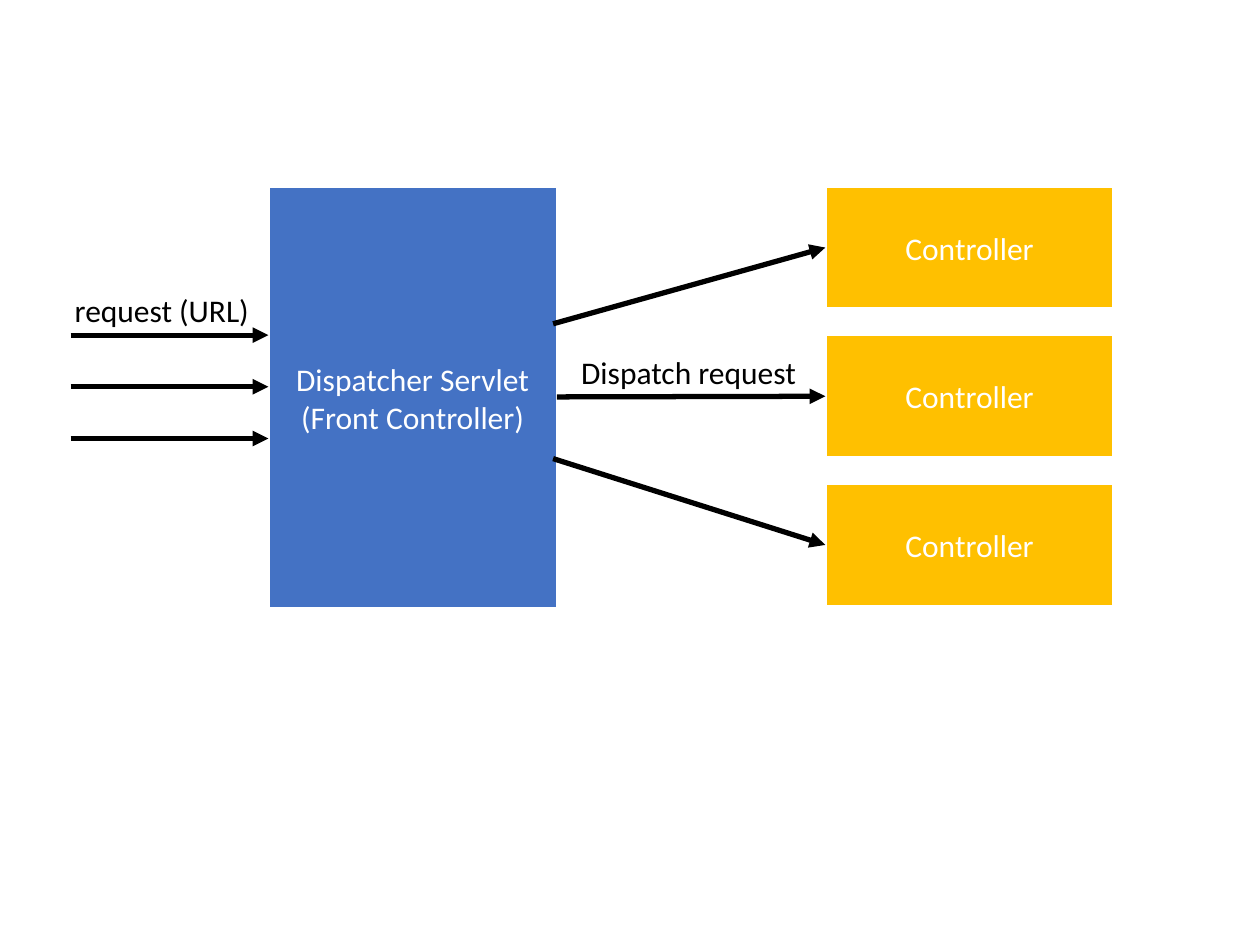
from lxml import etree
from pptx import Presentation
from pptx.dml.color import RGBColor
from pptx.enum.shapes import MSO_CONNECTOR, MSO_SHAPE
from pptx.enum.text import MSO_ANCHOR, MSO_AUTO_SIZE, PP_ALIGN
from pptx.oxml.ns import qn
from pptx.util import Inches, Pt

BLUE = RGBColor(0x44, 0x72, 0xC4)
AMBER = RGBColor(0xFF, 0xC0, 0x00)
WHITE = RGBColor(0xFF, 0xFF, 0xFF)
BLACK = RGBColor(0x00, 0x00, 0x00)
RECTANGLE = MSO_SHAPE.RECTANGLE
STRAIGHT = MSO_CONNECTOR.STRAIGHT
CENTER = PP_ALIGN.CENTER
MIDDLE = MSO_ANCHOR.MIDDLE
GROW = MSO_AUTO_SIZE.SHAPE_TO_FIT_TEXT
FONT = {"name": "Calibri", "size": Pt(18)}

BLANK_LAYOUT = 6
REQUEST_LEFT = 0.56
SERVLET_LEFT, CONTROLLER_LEFT = 2.13, 6.55
TOP = 1.48
BOX_WIDTH = 2.29
SERVLET_HEIGHT, CONTROLLER_HEIGHT = 3.35, 0.97
CONTROLLER_STEP = 1.18
REQUEST_TOP, REQUEST_STEP = 2.66, 0.41
LABEL_HEIGHT = 0.4
DISPATCH_STARTS = [(4.39, 2.57), (4.42, 3.15), (4.39, 3.64)]


def write_lines(frame, lines, color):
    """Fill a text frame with centred paragraphs."""
    frame.word_wrap = True
    for index, line in enumerate(lines):
        para = frame.paragraphs[0] if index == 0 else frame.add_paragraph()
        para.alignment = CENTER
        span = para.add_run()
        span.text = line
        for name, value in FONT.items():
            setattr(span.font, name, value)
        span.font.color.rgb = color


def add_box(page, left, top, height, fill, lines):
    """Add a filled box with a white outline and white text."""
    area = map(Inches, (left, top, BOX_WIDTH, height))
    box = page.shapes.add_shape(RECTANGLE, *area)
    box.shadow.inherit = False
    box.fill.solid()
    box.fill.fore_color.rgb = fill
    box.line.color.rgb = WHITE
    box.line.width = Pt(1.5)
    box.text_frame.vertical_anchor = MIDDLE
    write_lines(box.text_frame, lines, WHITE)


def add_label(page, left, bottom, width, text):
    """Add a black label that rests on the given height."""
    area = map(Inches, (left, bottom - LABEL_HEIGHT, width, LABEL_HEIGHT))
    label = page.shapes.add_textbox(*area)
    write_lines(label.text_frame, [text], BLACK)
    label.text_frame.auto_size = GROW


def add_arrow(page, start, end):
    """Add a straight black arrow."""
    arrow = page.shapes.add_connector(STRAIGHT, *map(Inches, (*start, *end)))
    arrow.line.color.rgb = BLACK
    arrow.line.width = Pt(3)
    outline = arrow.line._get_or_add_ln()
    etree.SubElement(outline, qn("a:tailEnd"), type="triangle")
    etree.SubElement(arrow._element.spPr, qn("a:effectLst"))


def main():
    """Build the request dispatch diagram."""
    deck = Presentation()
    deck.slide_width, deck.slide_height = Inches(10), Inches(7.5)
    page = deck.slides.add_slide(deck.slide_layouts[BLANK_LAYOUT])

    add_box(page, SERVLET_LEFT, TOP, SERVLET_HEIGHT, BLUE,
            ["Dispatcher Servlet", "(Front Controller)"])
    for row, start in enumerate(DISPATCH_STARTS):
        top = TOP + row * CONTROLLER_STEP
        add_box(page, CONTROLLER_LEFT, top, CONTROLLER_HEIGHT, AMBER, ["Controller"])
        add_arrow(page, start, (CONTROLLER_LEFT, top + CONTROLLER_HEIGHT / 2))
        request_y = REQUEST_TOP + row * REQUEST_STEP
        add_arrow(page, (REQUEST_LEFT, request_y), (SERVLET_LEFT, request_y))

    add_label(page, 0.4, REQUEST_TOP, 1.77, "request (URL)")
    add_label(page, 4.39, 3.15, 2.15, "Dispatch request")
    deck.save("out.pptx")


main()
